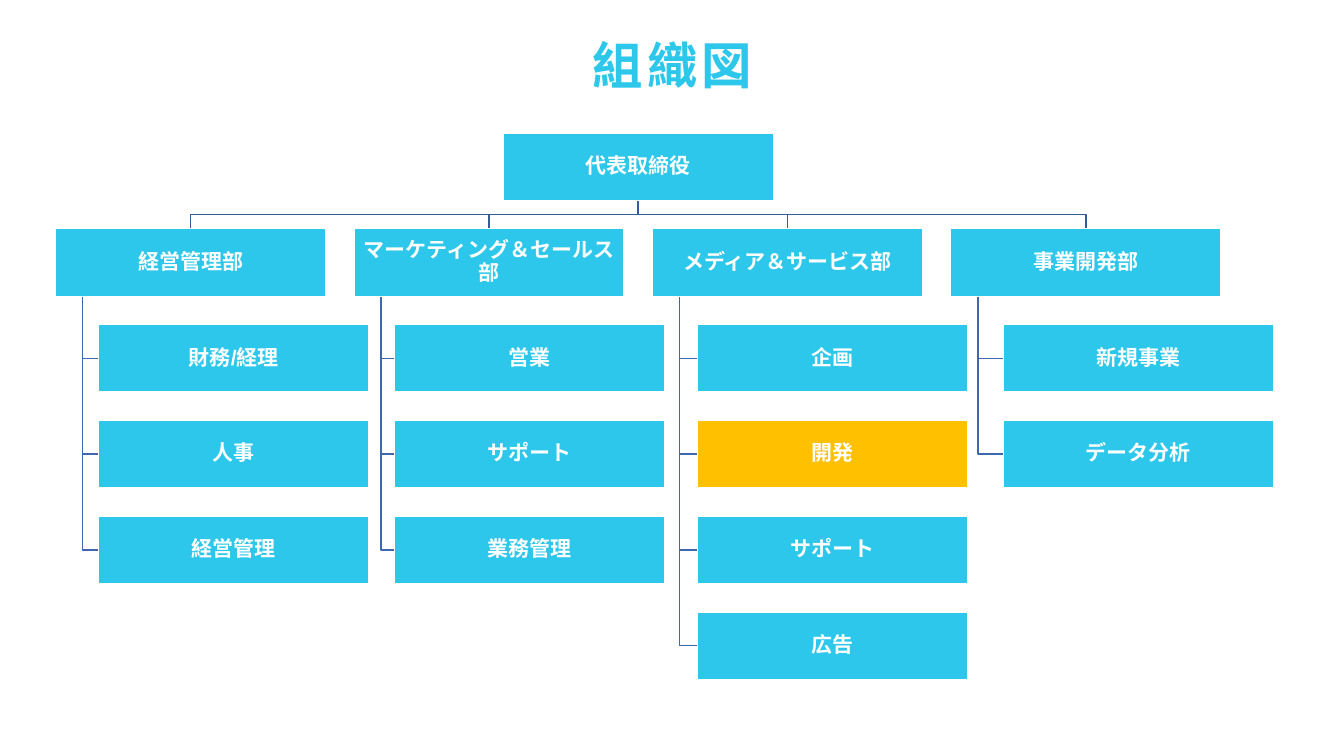
import pptx
import pptx.util
import pptx.dml.color
import pptx.enum.shapes
import pptx.enum.text
import pptx.oxml.ns
from lxml import etree

Inches, Pt = pptx.util.Inches, pptx.util.Pt
ALIGN, ANCHOR = pptx.enum.text.PP_ALIGN, pptx.enum.text.MSO_ANCHOR

# Content
TITLE = "組織図"
PRESIDENT = "代表取締役"
# Department, left edge of its teams in inches, teams
DEPARTMENTS = [
    ("経営管理部", 0.98, ["財務/経理", "人事", "経営管理"]),
    ("マーケティング＆セールス部", 3.91, ["営業", "サポート", "業務管理"]),
    ("メディア＆サービス部", 6.92, ["企画", "開発", "サポート", "広告"]),
    ("事業開発部", 9.95, ["新規事業", "データ分析"]),
]
HIGHLIGHTED = "開発"

# Format
COLORS = {"box": "2DC7EB", "highlight": "FFC000", "text": "FFFFFF",
          "trunk": "365B9D", "branch": "3E67B2"}
FRAME = {"vertical_anchor": ANCHOR.MIDDLE, "word_wrap": True,
         "margin_left": Inches(0.01), "margin_right": Inches(0.01),
         "margin_top": Inches(0.01), "margin_bottom": Inches(0.01)}
PARAGRAPH = {"alignment": ALIGN.CENTER, "line_spacing": 0.9}
BOX_FONT = {"size": Pt(15), "bold": True, "name": "Arial"}
TITLE_PLACE = {"left": Inches(5.75), "top": Inches(0.29),
               "width": Inches(1.84), "height": Inches(0.71)}
TITLE_FRAME = {"vertical_anchor": ANCHOR.TOP, "word_wrap": False,
               "auto_size": pptx.enum.text.MSO_AUTO_SIZE.SHAPE_TO_FIT_TEXT}
TITLE_FONT = {"size": Pt(36), "bold": True, "name": "Noto Sans CJK JP"}

# Layout in inches
BOX_W, BOX_H = 2.68, 0.67
TOP, ROW_STEP = 1.32, 0.95
LEFT, COLUMN_STEP = 0.55, 2.96
STEM_INDENT = 0.27
PRESIDENT_LEFT = LEFT + 1.5 * COLUMN_STEP


def row_top(row):
    return TOP + row * ROW_STEP


def apply(target, values):
    for attribute, value in values.items():
        setattr(target, attribute, value)


def rgb(name):
    return pptx.dml.color.RGBColor.from_string(COLORS[name])


def style_run(run, font, color):
    apply(run.font, font)
    run.font.color.rgb = rgb(color)
    properties = run.font._element
    east_asian = etree.SubElement(properties, pptx.oxml.ns.qn("a:ea"))
    east_asian.set("typeface", "Noto Sans CJK JP")
    return properties


def add_box(slide, text, left, row, fill="box"):
    box = slide.shapes.add_shape(
        pptx.enum.shapes.MSO_SHAPE.RECTANGLE,
        Inches(left), Inches(row_top(row)), Inches(BOX_W), Inches(BOX_H))
    box.shadow.inherit = False
    box.fill.solid()
    box.fill.fore_color.rgb = rgb(fill)
    box.line.color.rgb = rgb("text")
    box.line.width = Pt(1)
    apply(box.text_frame, FRAME)
    paragraph = box.text_frame.paragraphs[0]
    apply(paragraph, PARAGRAPH)
    run = paragraph.add_run()
    run.text = text
    style_run(run, BOX_FONT, "text")


def add_link(slide, points, color):
    start, *rest = [(Inches(x), Inches(y)) for x, y in points]
    builder = slide.shapes.build_freeform(*start)
    builder.add_line_segments(rest, close=False)
    link = builder.convert_to_shape()
    link.shadow.inherit = False
    link.fill.background()
    link.line.color.rgb = rgb(color)
    link.line.width = Pt(1)


def add_title(slide):
    title = slide.shapes.title
    apply(title, TITLE_PLACE)
    apply(title.text_frame, TITLE_FRAME)
    paragraph = title.text_frame.paragraphs[0]
    paragraph.alignment = ALIGN.CENTER
    run = paragraph.add_run()
    run.text = TITLE
    style_run(run, TITLE_FONT, "box").set("spc", "300")


def add_links(slide):
    trunk_x = PRESIDENT_LEFT + BOX_W / 2
    trunk_y = TOP + BOX_H
    bus_y = (trunk_y + row_top(1)) / 2
    for column, (_, team_left, teams) in enumerate(DEPARTMENTS):
        department_left = LEFT + column * COLUMN_STEP
        center = department_left + BOX_W / 2
        add_link(slide, [(trunk_x, trunk_y), (trunk_x, bus_y),
                         (center, bus_y), (center, row_top(1))], "trunk")
        stem_x = department_left + STEM_INDENT
        for row in range(2, 2 + len(teams)):
            middle = row_top(row) + BOX_H / 2
            add_link(slide, [(stem_x, row_top(1) + BOX_H), (stem_x, middle),
                             (team_left, middle)], "branch")


def add_boxes(slide):
    add_box(slide, PRESIDENT, PRESIDENT_LEFT, 0)
    for column, (department, team_left, teams) in enumerate(DEPARTMENTS):
        add_box(slide, department, LEFT + column * COLUMN_STEP, 1)
        for row, team in enumerate(teams, start=2):
            fill = "highlight" if team == HIGHLIGHTED else "box"
            add_box(slide, team, team_left, row, fill)


def main():
    deck = pptx.Presentation()
    deck.slide_width, deck.slide_height = Inches(13.33), Inches(7.5)
    slide = deck.slides.add_slide(deck.slide_layouts[5])
    add_title(slide)
    # Links first, so that the boxes cover their ends
    add_links(slide)
    add_boxes(slide)
    deck.save("out.pptx")


if __name__ == "__main__":
    main()
